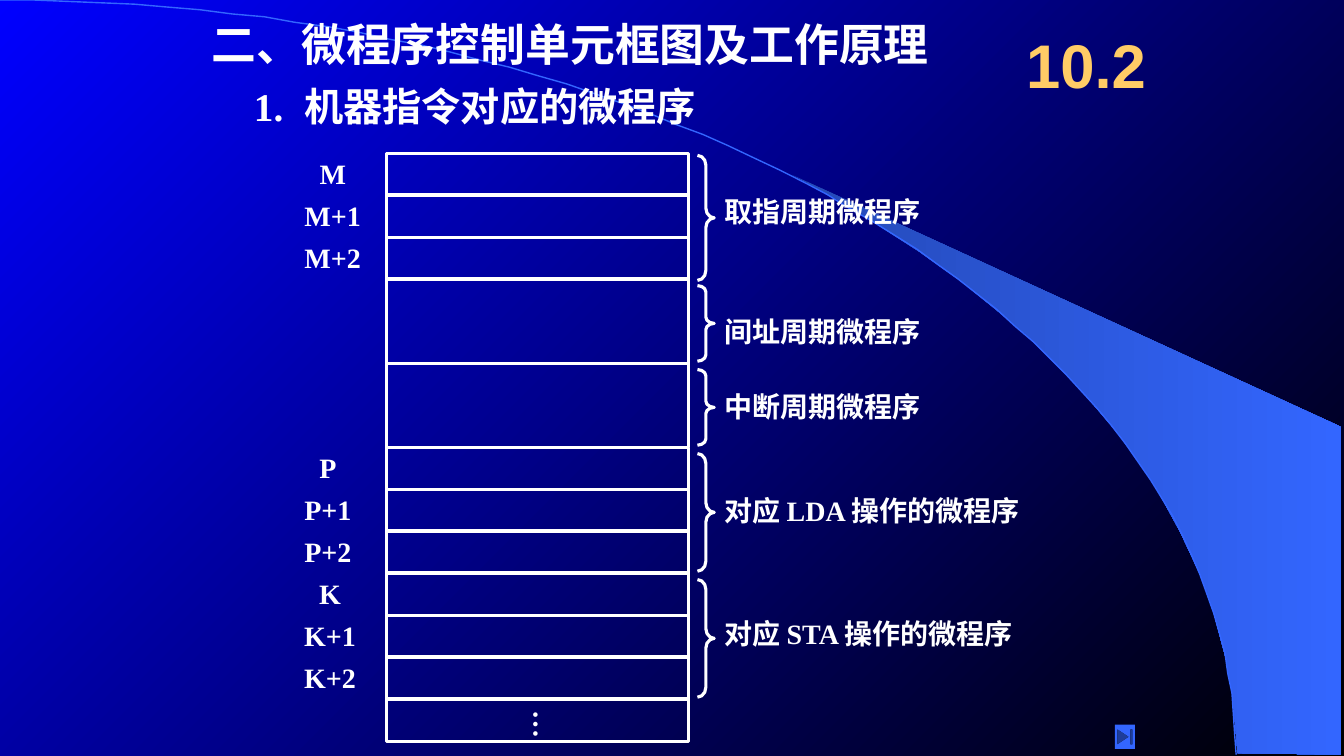
from lxml import etree
from pptx import Presentation
from pptx.dml.color import RGBColor
from pptx.enum import shapes, text
from pptx.oxml import ns
from pptx.util import Pt

WHITE = RGBColor(0xFF, 0xFF, 0xFF)
GOLD = RGBColor(0xFF, 0xCC, 0x66)
BLUE = RGBColor(0x00, 0x00, 0xFF)
BLACK = RGBColor(0x00, 0x00, 0x00)
SKY = RGBColor(0x33, 0x66, 0xFF)
DEEP_SKY = RGBColor(0x24, 0x49, 0xB6)

MEMORY_LEFT, MEMORY_TOP, MEMORY_WIDTH, ROW = 276, 109.4, 216, 30
BRACE_LEFT, BRACE_WIDTH = 498.2, 12
WING = [(883.5, 538.5), (958.3, 539.3), (958.3, 304.6), (566, 124.6), (599, 143.3),
        (626.4, 159.8), (657.4, 180), (687.6, 201.6), (731.5, 237.6), (770.4, 276.5),
        (799.2, 310.3), (823.7, 344.9), (843.1, 380.2), (857.5, 411.8), (866.9, 438.5),
        (876.2, 472.3), (880.6, 501.1)]
ARC_WIDTH, ARC_HEIGHT, ARC_STEPS = 882.7, 539.3, 60

# first row of each group of addresses, base letter, label width
ADDRESSES = [(0, "M", 55), (7, "P", 48), (10, "K", 51)]
# brace top, brace height, curl, label top, label width, label
ROUTINES = [
    (111, 89.3, 0.583, 135.4, 160, "取指周期微程序"),
    (204, 54, 0.375, 221, 160, "间址周期微程序"),
    (264, 54, 0.375, 275, 160, "中断周期微程序"),
    (324, 84, 0.583, 349, 227.5, "对应 LDA 操作的微程序"),
    (414, 84, 0.583, 437, 224.6, "对应 STA 操作的微程序"),
]


class Painter:
    font = {"name": "Times New Roman", "size": Pt(20), "bold": True}
    line_width = Pt(2.25)

    def __init__(self, page):
        self.page = page

    def gradient(self, fill, colours, angle):
        fill.gradient()
        fill.gradient_angle = angle
        for stop, colour in zip(fill.gradient_stops, colours):
            stop.color.rgb = colour

    def outline(self, shape):
        shape.line.color.rgb = WHITE
        shape.line.width = self.line_width

    def shape(self, kind, left, top, width, height):
        shape = self.page.shapes.add_shape(kind, Pt(left), Pt(top), Pt(width), Pt(height))
        shape.shadow.inherit = False
        shape.fill.background()
        self.outline(shape)
        return shape

    def line(self, x1, y1, x2, y2):
        line = self.page.shapes.add_connector(
            shapes.MSO_CONNECTOR.STRAIGHT, Pt(x1), Pt(y1), Pt(x2), Pt(y2))
        self.outline(line)
        etree.SubElement(line._element.spPr, ns.qn("a:effectLst"))

    def backdrop(self, points, close):
        """Adds an outline behind everything else on the page."""
        builder = self.page.shapes.build_freeform(*points[0], scale=Pt(1))
        builder.add_line_segments(points[1:], close=close)
        shape = builder.convert_to_shape()
        shape.shadow.inherit = False
        self.page.shapes._spTree.insert(2, shape._element)
        return shape

    def fill_text(self, box, words, wrap=True, centred=False, middle=False, tab=None,
                  colour=WHITE, **font):
        frame = box.text_frame
        frame.word_wrap = wrap
        frame.auto_size = text.MSO_AUTO_SIZE.NONE
        frame.vertical_anchor = text.MSO_ANCHOR.MIDDLE if middle else text.MSO_ANCHOR.TOP
        para = frame.paragraphs[0]
        para.alignment = text.PP_ALIGN.CENTER if centred else text.PP_ALIGN.LEFT
        para.space_before = Pt(0)
        if tab:
            marks = para._p.get_or_add_pPr()
            marks.set("marL", "0")
            marks.set("indent", "0")
            etree.SubElement(marks, ns.qn("a:buNone"))
            stops = etree.SubElement(marks, ns.qn("a:tabLst"))
            etree.SubElement(stops, ns.qn("a:tab"), pos=str(Pt(tab)), algn="l")
        span = para.add_run()
        span.text = words
        for name, value in {**self.font, **font}.items():
            setattr(span.font, name, value)
        span.font.color.rgb = colour

    def place(self, box, words, left, top, width, height, **style):
        """Moves a placeholder and fills it."""
        frame = {"left": left, "top": top, "width": width, "height": height}
        for name, value in frame.items():
            setattr(box, name, Pt(value))
        self.fill_text(box, words, **style)

    def label(self, words, left, top, width, height=31, **style):
        box = self.page.shapes.add_textbox(Pt(left), Pt(top), Pt(width), Pt(height))
        self.fill_text(box, words, **style)
        return box


def draw_backdrop(painter):
    painter.gradient(painter.page.background.fill, (BLUE, BLACK), 315)
    # cubic curve from the top left corner to the bottom edge
    arc = []
    for step in range(ARC_STEPS + 1):
        t = step / ARC_STEPS
        x = 3 * t * (1 - t) ** 2 * 0.55 + 3 * t ** 2 * (1 - t) + t ** 3
        y = 3 * t ** 2 * (1 - t) * 0.45 + t ** 3
        arc.append((x * ARC_WIDTH, y * ARC_HEIGHT))
    curve = painter.backdrop(arc, close=False)
    curve.fill.background()
    curve.line.color.rgb = SKY
    curve.line.width = Pt(1)
    wing = painter.backdrop(WING, close=True)
    painter.gradient(wing.fill, (DEEP_SKY, SKY), 0)
    wing.line.fill.background()


def draw_memory(painter):
    right = MEMORY_LEFT + MEMORY_WIDTH
    gap_top, gap_middle, gap_bottom = (MEMORY_TOP + row * ROW for row in (3, 5, 7))
    for row in (*range(3), *range(7, 14)):
        painter.shape(shapes.MSO_SHAPE.RECTANGLE, MEMORY_LEFT, MEMORY_TOP + row * ROW,
                      MEMORY_WIDTH, ROW)
    for side in (MEMORY_LEFT, right):
        painter.line(side, gap_top, side, gap_bottom)
    painter.line(MEMORY_LEFT, gap_middle, right, gap_middle)
    for first, letter, width in ADDRESSES:
        for offset, suffix in enumerate(("", "+1", "+2")):
            painter.label(letter + suffix, 210.2, MEMORY_TOP - 1 + (first + offset) * ROW,
                          width, wrap=False, centred=True)
    dots = painter.label("…", 365.8, 500.4, 38.9, 27.4, wrap=False)
    dots.text_frame._txBody.bodyPr.set("vert", "eaVert")


def draw_routines(painter):
    for top, height, curl, label_top, width, words in ROUTINES:
        brace = painter.shape(shapes.MSO_SHAPE.RIGHT_BRACE, BRACE_LEFT, top,
                              BRACE_WIDTH, height)
        brace.adjustments[0] = curl
        painter.label(words, BRACE_LEFT + BRACE_WIDTH, label_top, width)


def main():
    deck = Presentation()
    deck.slide_width, deck.slide_height = Pt(960), Pt(540)
    page = deck.slides.add_slide(deck.slide_layouts[1])
    painter = Painter(page)
    draw_backdrop(painter)
    painter.place(page.shapes.title, "二、微程序控制单元框图及工作原理",
                  144, 8.6, 576, 45.4, size=Pt(32))
    painter.place(page.placeholders[1], "1.\t机器指令对应的微程序",
                  174.2, 55.4, 383.8, 41, size=Pt(28), tab=41)
    draw_memory(painter)
    draw_routines(painter)
    painter.label("10.2", 725.8, 12.2, 113.8, 66.2, middle=True,
                  colour=GOLD, name="Arial", size=Pt(44))
    button = painter.shape(shapes.MSO_SHAPE.ACTION_BUTTON_END, 796.3, 517.7, 14.4, 17.3)
    button.fill.solid()
    button.fill.fore_color.rgb = SKY
    button.line.fill.background()
    deck.save("out.pptx")


if __name__ == "__main__":
    main()
